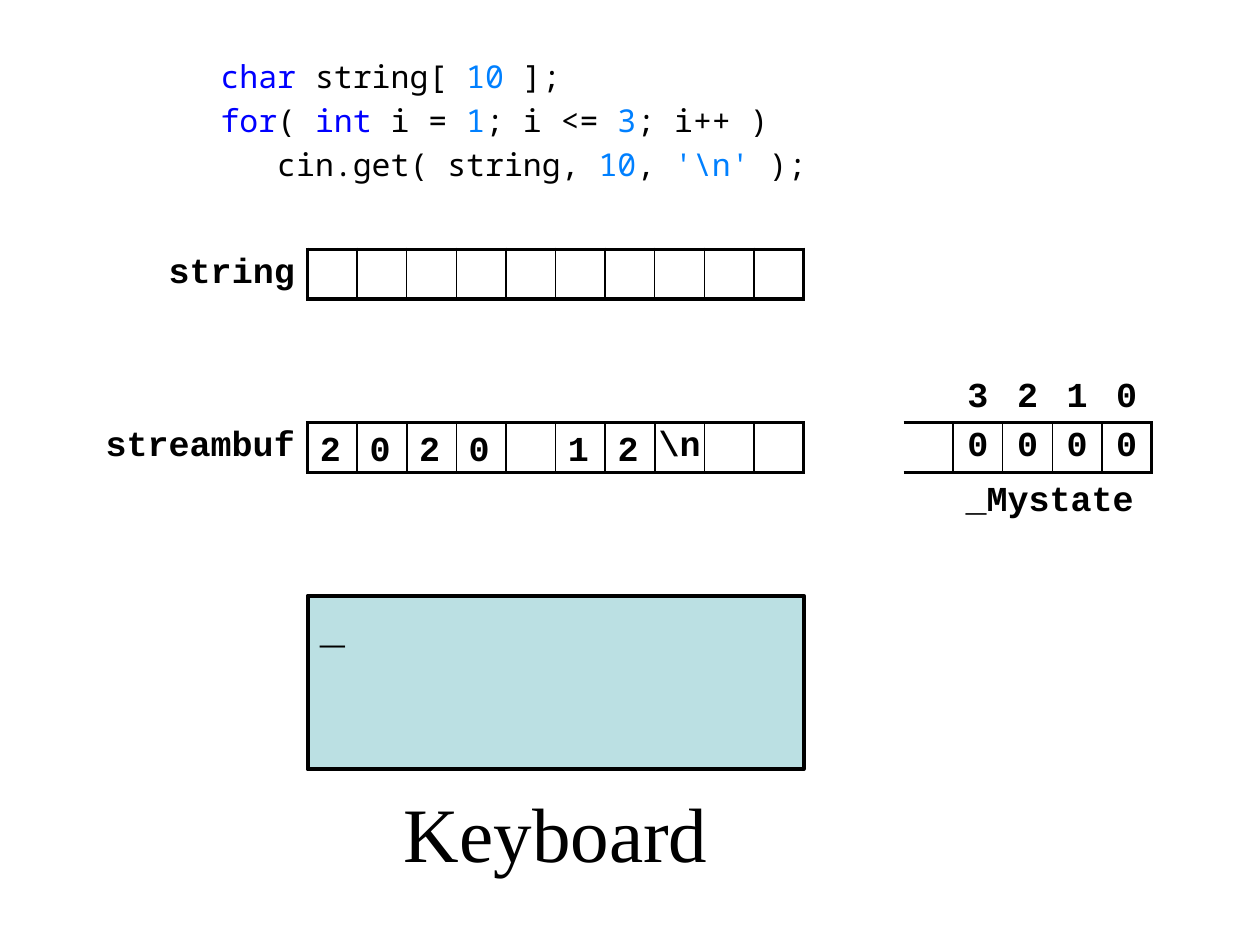
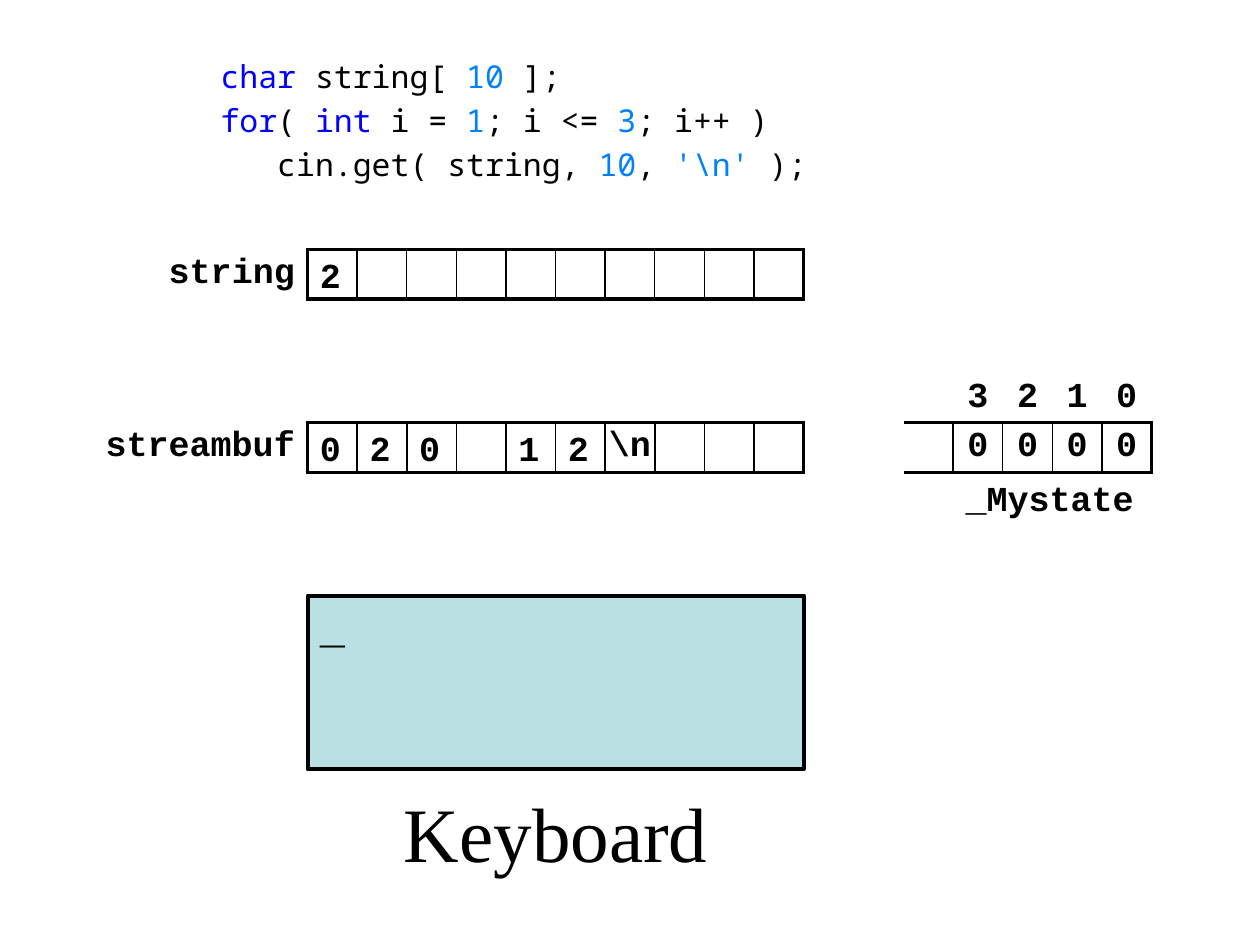
"""Builds two slides that trace cin.get reading characters from a stream buffer."""
import lxml.etree
import pptx
import pptx.dml.color
import pptx.enum.shapes
import pptx.enum.text
import pptx.oxml.ns
import pptx.util

Pt = pptx.util.Pt
ALIGN = pptx.enum.text.PP_ALIGN
ANCHOR = pptx.enum.text.MSO_ANCHOR

BLACK, KEYWORD, LITERAL, SCREEN = "000000", "0000FF", "0080FF", "BBE0E3"
CODE = [
    [("char", KEYWORD), (" string[ ", BLACK), ("10", LITERAL), (" ];", BLACK)],
    [("for", KEYWORD), ("( ", BLACK), ("int", KEYWORD), (" i = ", BLACK), ("1", LITERAL),
     ("; i <= ", BLACK), ("3", LITERAL), ("; i++ )", BLACK)],
    [("   cin.get( string, ", BLACK), ("10", LITERAL), (", ", BLACK), ("'\\n'", LITERAL),
     (" );", BLACK)],
]
STEPS = [
    {"string": "", "streambuf": "2020 12\n"},
    {"string": "2", "streambuf": "020 12\n"},
]
STATE_BITS = ["", "3", "2", "1", "0"]
STATE_VALUES = ["", "0", "0", "0", "0"]

CELL = 28.35
LENGTH = 10
ARRAY_LEFT = 175.75
STRING_TOP, BUFFER_TOP = 142.4, 213.2
STATE_LEFT = 516.3
THICK, THIN = 2.25, 1
NO_STYLE = "{2D5ABB26-0587-4C30-8999-92F81FD0307C}"


def color(value):
    return pptx.dml.color.RGBColor.from_string(value)


def style(para, size=20, name="Courier New", bold=True, align=ALIGN.LEFT):
    para.alignment = align
    para.font.size, para.font.name, para.font.bold = Pt(size), name, bold
    para.font.color.rgb = color(BLACK)


def set_margins(target, left, top, right, bottom):
    target.margin_left, target.margin_right = Pt(left), Pt(right)
    target.margin_top, target.margin_bottom = Pt(top), Pt(bottom)


def add_text(page, text, left, top, width, height, inset=3.6, wrap=True, **font):
    box = page.shapes.add_textbox(Pt(left), Pt(top), Pt(width), Pt(height))
    frame = box.text_frame
    frame.word_wrap = wrap
    frame.vertical_anchor = ANCHOR.MIDDLE
    set_margins(frame, 7.2, inset, 7.2, inset)
    frame.text = text
    style(frame.paragraphs[0], **font)


def set_borders(cell, widths):
    properties = cell._tc.get_or_add_tcPr()
    for index, (side, width) in enumerate(zip("LRTB", widths)):
        line = lxml.etree.Element(pptx.oxml.ns.qn("a:ln" + side))
        if width:
            line.set("w", str(Pt(width)))
            fill = lxml.etree.SubElement(line, pptx.oxml.ns.qn("a:solidFill"))
            lxml.etree.SubElement(fill, pptx.oxml.ns.qn("a:srgbClr"), val=BLACK)
        else:
            lxml.etree.SubElement(line, pptx.oxml.ns.qn("a:noFill"))
        properties.insert(index, line)


def add_memory(page, left, top, rows, label_width=0):
    """Draw rows of cells, the last one boxed, after an optional label column."""
    first, count, last = int(label_width > 0), len(rows[0]), len(rows) - 1
    widths = [label_width] * first + [CELL] * (count - first)
    frame = page.shapes.add_table(len(rows), count, Pt(left), Pt(top),
                                  Pt(sum(widths)), Pt(CELL * len(rows)))
    table = frame.table
    table.first_row = table.horz_banding = False
    table._tbl.tblPr.find(pptx.oxml.ns.qn("a:tableStyleId")).text = NO_STYLE
    for column, width in zip(table.columns, widths):
        column.width = Pt(width)

    def upright(row, edge):
        if row < last or edge == 0:
            return 0
        return THICK if edge in (first, count) else THIN

    def level(edge, column):
        return THICK if column >= first and edge >= last else 0

    for row, texts in enumerate(rows):
        table.rows[row].height = Pt(CELL)
        for column, text in enumerate(texts):
            is_label = column < first
            cell = table.cell(row, column)
            cell.fill.background()
            cell.vertical_anchor = ANCHOR.MIDDLE
            set_margins(cell, 0, 0, 7.2 if is_label else 0, 0)
            cell.text = text
            style(cell.text_frame.paragraphs[0],
                  align=ALIGN.RIGHT if is_label else ALIGN.CENTER)
            set_borders(cell, (upright(row, column), upright(row, column + 1),
                               level(row, column), level(row + 1, column)))


def add_array(page, name, content, top, label_width, header_rows=0):
    """Draw a named array, with its newline in a cell and its digits on top."""
    newlines = ["\\n" if char == "\n" else "" for char in content.ljust(LENGTH)]
    rows = [[""] * (LENGTH + 1)] * header_rows + [[name] + newlines]
    add_memory(page, ARRAY_LEFT - label_width, top, rows, label_width)
    for index, char in enumerate(content):
        if char.strip():
            add_text(page, char, ARRAY_LEFT + index * CELL, top + header_rows * CELL, CELL, CELL)


def add_code(page):
    box = page.placeholders[1]
    box.left, box.top, box.width, box.height = Pt(118.8), Pt(28.8), Pt(354.25), Pt(85)
    frame = box.text_frame
    frame.auto_size = pptx.enum.text.MSO_AUTO_SIZE.NONE
    set_margins(frame, 7.2, 3.6, 5.8, 3.6)
    for index, spans in enumerate(CODE):
        para = frame.add_paragraph() if index else frame.paragraphs[0]
        style(para, 18, "Noto Sans Mono", False)
        properties = para._p.get_or_add_pPr()
        properties.set("marL", "0")
        properties.set("indent", "0")
        properties.insert(0, lxml.etree.Element(pptx.oxml.ns.qn("a:buNone")))
        for text, shade in spans:
            span = para.add_run()
            span.text = text
            span.font.color.rgb = color(shade)


def add_keyboard(page):
    screen = page.shapes.add_shape(pptx.enum.shapes.MSO_SHAPE.RECTANGLE, Pt(ARRAY_LEFT),
                                   Pt(340.4), Pt(CELL * LENGTH), Pt(CELL * 3.5))
    screen.shadow.inherit = False
    screen.fill.solid()
    screen.fill.fore_color.rgb = color(SCREEN)
    screen.line.color.rgb = color(BLACK)
    screen.line.width = Pt(THICK)
    frame = screen.text_frame
    frame.vertical_anchor = ANCHOR.TOP
    frame.text = "_"
    style(frame.paragraphs[0], 24)
    add_text(page, "Keyboard", 218.2, 439.9, 198.7, 70.6, wrap=False,
             size=44, name="Times New Roman", bold=False, align=ALIGN.CENTER)


def main():
    deck = pptx.Presentation()
    deck.slide_width, deck.slide_height = Pt(720), Pt(540)
    for step in STEPS:
        page = deck.slides.add_slide(deck.slide_layouts[1])
        title = page.shapes.title.element
        title.getparent().remove(title)
        add_code(page)
        add_array(page, "streambuf", step["streambuf"], BUFFER_TOP, 156, header_rows=1)
        add_array(page, "string", step["string"], STRING_TOP, 85)
        add_keyboard(page)
        add_memory(page, STATE_LEFT, BUFFER_TOP, [STATE_BITS, STATE_VALUES])
        add_text(page, "_Mystate", STATE_LEFT + CELL, BUFFER_TOP + 2 * CELL,
                 4 * CELL, CELL, inset=0)
    deck.save("out.pptx")


if __name__ == "__main__":
    main()
